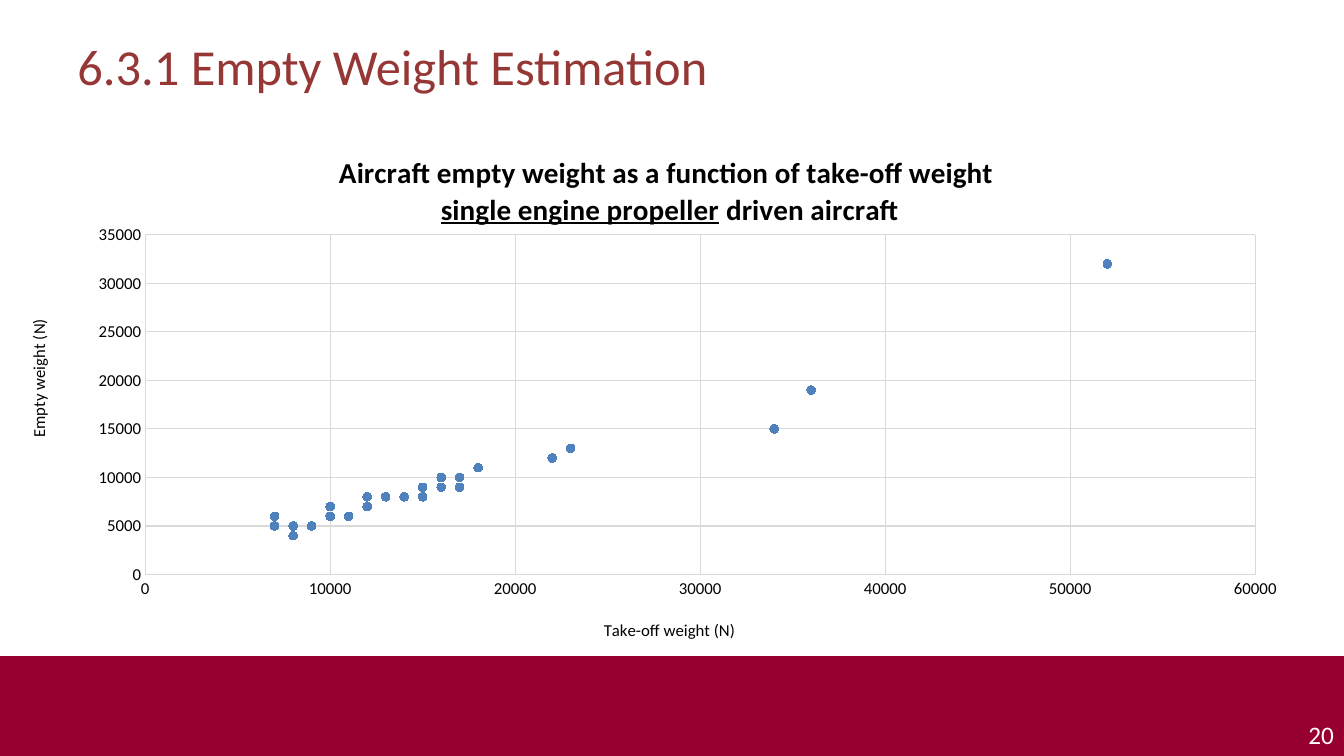
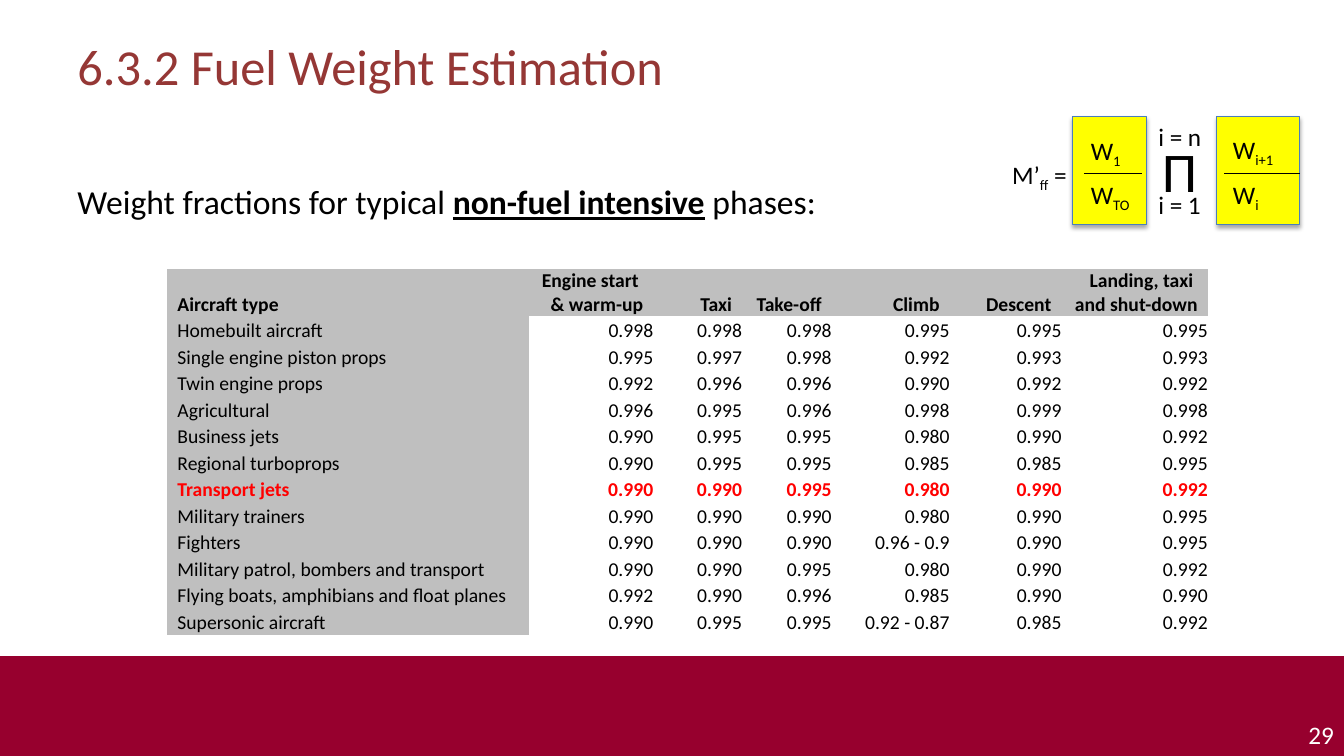
from lxml import etree
from pptx import Presentation
from pptx.chart.data import XyChartData
from pptx.dml.color import RGBColor
from pptx.enum import chart as ch, shapes as sh, text as tx
from pptx.oxml import parse_xml
from pptx.oxml.ns import nsdecls, qn
from pptx.util import Inches, Pt

FONT = "Calibri"
BLACK = RGBColor(0, 0, 0)
WHITE = RGBColor(0xFF, 0xFF, 0xFF)
WINE = RGBColor(0x97, 0x00, 0x2E)
BRICK = RGBColor(0x95, 0x37, 0x35)
RED = RGBColor(0xFF, 0, 0)
YELLOW = RGBColor(0xFF, 0xFF, 0)
BLUE = RGBColor(0x4B, 0x7E, 0xBC)
DOT = RGBColor(0x4F, 0x81, 0xBD)
GRAY = RGBColor(0xBF, 0xBF, 0xBF)
GRID = RGBColor(0xD9, 0xD9, 0xD9)


def style(font, size, color=BLACK, bold=False):
    font.name, font.size, font.bold = FONT, Pt(size), bold
    font.color.rgb = color


def label(slide, box, parts, size=18, color=BLACK, align=tx.PP_ALIGN.LEFT):
    frame = slide.shapes.add_textbox(*map(Inches, box)).text_frame
    frame.word_wrap = True
    frame.margin_right = 0
    para = frame.paragraphs[0]
    para.alignment = align
    style(para.font, size, color)
    for part in parts:
        para.add_run().text = part
    return para


deck = Presentation()
deck.slide_width, deck.slide_height = Inches(13.33), Inches(7.5)

slides = []
for title, number in (("6.3.1 Empty Weight Estimation", "20"),
                      ("6.3.2 Fuel Weight Estimation", "29")):
    slide = deck.slides.add_slide(deck.slide_layouts[6])
    band = slide.shapes.add_shape(sh.MSO_SHAPE.RECTANGLE, 0, Inches(6.51),
                                  deck.slide_width, Inches(0.99))
    band.shadow.inherit = False
    band.fill.solid()
    band.fill.fore_color.rgb = WINE
    band.line.fill.background()
    label(slide, (12.63, 7.09, 0.6, 0.4), [number], 18, WHITE, tx.PP_ALIGN.RIGHT)
    label(slide, (0.67, 0.3, 12, 1.25), [title], 36, BRICK)
    slides.append(slide)
empty, fuel = slides

points = [
    (12, 8), (16, 10), (15, 9), (17, 10), (7, 5), (7, 5), (11, 6), (14, 8),
    (15, 8), (17, 9), (17, 10), (18, 11), (34, 15), (10, 6), (12, 7), (16, 9),
    (9, 5), (8, 4), (23, 13), (36, 19), (8, 5), (12, 7), (10, 7), (7, 6),
    (12, 7), (13, 8), (52, 32), (8, 5), (10, 6), (10, 6), (22, 12), (8, 5),
]
data = XyChartData()
series = data.add_series("Series 1")
for x, y in points:
    series.add_data_point(x * 1000, y * 1000)
chart = empty.shapes.add_chart(
    ch.XL_CHART_TYPE.XY_SCATTER, 0, Inches(1.2), deck.slide_width, Inches(5.21), data).chart
chart.has_legend = False
style(chart.font, 12)
plot = chart.plots[0]
plot.vary_by_categories = False
dots = plot.series[0]
dots.smooth = False
dots.format.line.fill.background()
dots.marker.style = ch.XL_MARKER_STYLE.CIRCLE
dots.marker.size = 6
dots.marker.format.fill.solid()
dots.marker.format.fill.fore_color.rgb = DOT
dots.marker.format.line.color.rgb = DOT

chart.has_title = True
head = chart.chart_title.text_frame
for para, parts in ((head.paragraphs[0], ["Aircraft empty weight as a function of take-off weight "]),
                    (head.add_paragraph(), ["single engine propeller", " driven aircraft"])):
    style(para.font, 20.8, bold=True)
    for part in parts:
        para.add_run().text = part
head.paragraphs[1].runs[0].font.underline = True

for axis, name, top, step in ((chart.category_axis, "Take-off weight (N)", 60000, 10000),
                              (chart.value_axis, "Empty weight (N)", 35000, 5000)):
    axis.minimum_scale, axis.maximum_scale, axis.major_unit = 0, top, step
    axis.major_tick_mark = axis.minor_tick_mark = ch.XL_TICK_MARK.NONE
    axis.format.line.fill.background()
    axis.has_major_gridlines = True
    axis.major_gridlines.format.line.color.rgb = GRID
    axis.major_gridlines.format.line.width = Pt(0.75)
    axis.tick_labels.number_format = "0"
    axis.tick_labels.number_format_is_linked = False
    style(axis.tick_labels.font, 12)
    axis.axis_title.text_frame.text = name
    style(axis.axis_title.text_frame.paragraphs[0].font, 12)

root = chart.element
titles = list(root.iter(qn("c:title")))
area = root.find(".//" + qn("c:plotArea"))
for node, spot, rules in (
        (area, 0, dict(layoutTarget="inner", xMode="edge", yMode="edge",
                       x=0.108, y=0.219, w=0.826, h=0.653)),
        (titles[0], 1, dict(xMode="edge", yMode="edge", x=0.25, y=0.057)),
        (titles[1], 1, dict(xMode="edge", yMode="edge", x=0.447, y=0.952)),
        (titles[2], 1, dict(xMode="edge", yMode="edge", x=0.018, y=0.377))):
    for old in node.findall(qn("c:layout")):
        node.remove(old)
    layout = etree.Element(qn("c:layout"))
    manual = etree.SubElement(layout, qn("c:manualLayout"))
    for key, value in rules.items():
        etree.SubElement(manual, qn("c:" + key)).set("val", str(value))
    node.insert(spot, layout)

for left, width in ((10.64, 0.73), (12.07, 0.82)):
    box = fuel.shapes.add_shape(sh.MSO_SHAPE.RECTANGLE, *map(Inches, (left, 1.16, width, 1.07)))
    box.fill.solid()
    box.fill.fore_color.rgb = YELLOW
    box.line.color.rgb = BLUE
    box.line.width = Pt(0.75)
    box.element.spPr.append(parse_xml(
        f'<a:effectLst {nsdecls("a")}><a:outerShdw blurRad="40000" dist="23000" dir="5400000" '
        'rotWithShape="0"><a:srgbClr val="000000"><a:alpha val="35000"/></a:srgbClr>'
        '</a:outerShdw></a:effectLst>'))

for start, end in ((10.75, 11.33), (12.14, 12.89)):
    bar = fuel.shapes.add_connector(sh.MSO_CONNECTOR.STRAIGHT,
                                    *map(Inches, (start, 1.72, end, 1.72)))
    bar.line.color.rgb = BLACK
    bar.line.width = Pt(0.75)
    etree.SubElement(bar.element.spPr, qn("a:effectLst"))

for left, top, width, size, parts in (
        (10.72, 1.29, 0.71, 18, ["W", "1"]),
        (10.72, 1.73, 0.71, 18, ["W", "TO"]),
        (12.13, 1.28, 0.75, 18, ["W", "i+1"]),
        (12.13, 1.73, 0.75, 18, ["W", "i"]),
        (11.43, 1.31, 0.55, 40, ["Π"]),
        (11.39, 1.83, 0.64, 18, ["i = 1"]),
        (11.39, 1.15, 0.64, 18, ["i = n"]),
        (9.94, 1.53, 0.9, 18, ["M’", "ff", " ="])):
    para = label(fuel, (left, top, width, 0.4), parts, size)
    for run in para.runs[1:2]:
        run.font._element.set("baseline", "-25000")

rows = [
    ["Aircraft type", "Engine start \v& warm-up", "Taxi", "Take-off", "Climb", "Descent",
     "Landing, taxi \vand shut-down"],
    ["Homebuilt aircraft", "0.998", "0.998", "0.998", "0.995", "0.995", "0.995"],
    ["Single engine piston props", "0.995", "0.997", "0.998", "0.992", "0.993", "0.993"],
    ["Twin engine props", "0.992", "0.996", "0.996", "0.990", "0.992", "0.992"],
    ["Agricultural", "0.996", "0.995", "0.996", "0.998", "0.999", "0.998"],
    ["Business jets", "0.990", "0.995", "0.995", "0.980", "0.990", "0.992"],
    ["Regional turboprops", "0.990", "0.995", "0.995", "0.985", "0.985", "0.995"],
    ["Transport jets", "0.990", "0.990", "0.995", "0.980", "0.990", "0.992"],
    ["Military trainers", "0.990", "0.990", "0.990", "0.980", "0.990", "0.995"],
    ["Fighters", "0.990", "0.990", "0.990", "0.96 - 0.9", "0.990", "0.995"],
    ["Military patrol, bombers and transport", "0.990", "0.990", "0.995", "0.980", "0.990", "0.992"],
    ["Flying boats, amphibians and float planes", "0.992", "0.990", "0.996", "0.985", "0.990", "0.990"],
    ["Supersonic aircraft", "0.990", "0.995", "0.995", "0.92 - 0.87", "0.985", "0.992"],
]
widths = [3.59, 1.23, 0.88, 0.89, 1.17, 1.11, 1.45]
tall = 0.47
short = (3.63 - tall) / (len(rows) - 1)
frame = fuel.shapes.add_table(len(rows), len(widths), *map(Inches, (1.66, 2.67, 10.32, 3.63)))
for ident in frame.element.iter(qn("a:tableStyleId")):
    ident.text = "{2D5ABB26-0587-4C30-8999-92F81FD0307C}"
table = frame.table
table.first_row = table.horz_banding = False
for col, width in zip(table.columns, widths):
    col.width = Inches(width)
for r, row in enumerate(rows):
    table.rows[r].height = Inches(short if r else tall)
    key = row[0] == "Transport jets"
    for c, value in enumerate(row):
        cell = table.cell(r, c)
        edge = r == 0 or c == 0
        cell.margin_top = cell.margin_bottom = 0
        cell.margin_left = cell.margin_right = Inches(0.1 if edge else 0)
        cell.vertical_anchor = tx.MSO_ANCHOR.BOTTOM
        if edge:
            cell.fill.solid()
            cell.fill.fore_color.rgb = GRAY
        else:
            cell.fill.background()
        cell.text = value
        para = cell.text_frame.paragraphs[0]
        para.alignment = tx.PP_ALIGN.RIGHT if c else tx.PP_ALIGN.LEFT
        style(para.font, 14, RED if key else BLACK, r == 0 or key)

intro = label(fuel, (0.67, 1.75, 9, 0.5),
              ["Weight fractions for typical ", "non-fuel intensive", " phases:"], 24)
intro.runs[1].font.bold = intro.runs[1].font.underline = True

deck.save("out.pptx")
